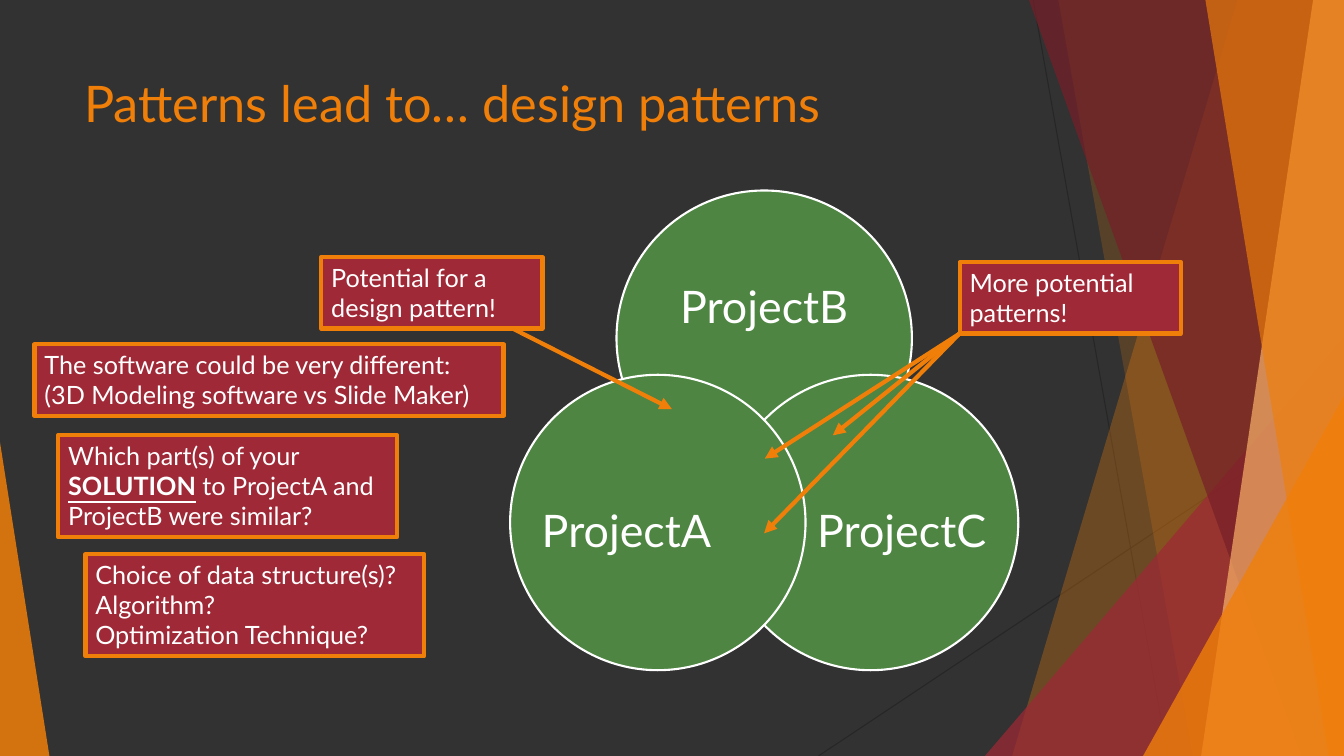
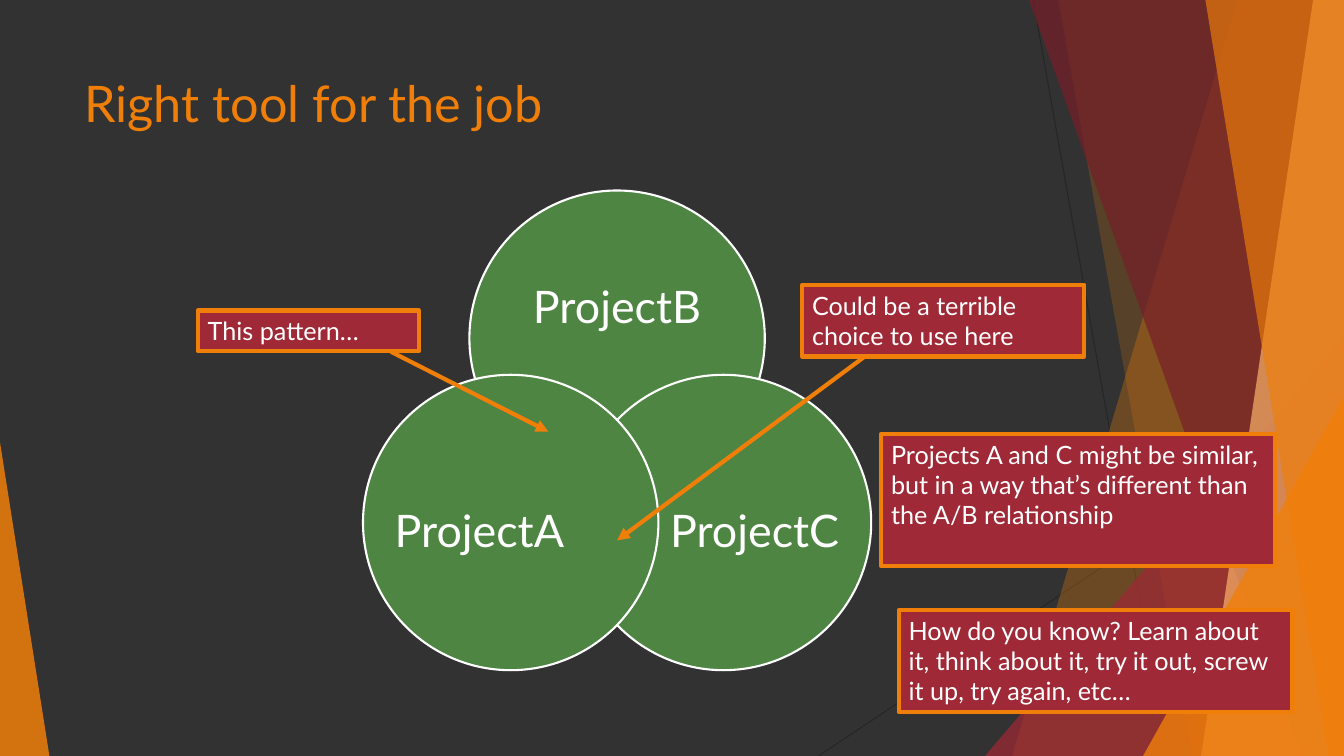
import math

from lxml import etree
from pptx import Presentation
from pptx.dml.color import RGBColor
from pptx.enum.shapes import MSO_CONNECTOR, MSO_SHAPE
from pptx.enum.text import MSO_ANCHOR, PP_ALIGN
from pptx.oxml.ns import qn
from pptx.util import Pt

STRAIGHT = MSO_CONNECTOR.STRAIGHT
RECTANGLE, OVAL, TRIANGLE = MSO_SHAPE.RECTANGLE, MSO_SHAPE.OVAL, MSO_SHAPE.ISOSCELES_TRIANGLE
TOP, MIDDLE = MSO_ANCHOR.TOP, MSO_ANCHOR.MIDDLE
LEFT, CENTER = PP_ALIGN.LEFT, PP_ALIGN.CENTER

WIDTH, HEIGHT = 960, 540
FONT = "Lato"
COLORS = {
    "ground": "323232", "hairline": "262626", "orange": "F07F09", "peach": "F9B268",
    "red": "9F2936", "wine": "771F28", "green": "4E8542", "white": "FFFFFF",
}

# Back to front. Bands: colour, opacity, top x, bottom x; they reach the right edge.
# Triangles: colour, opacity, box, apex position; told apart by the box.
FACETS = [
    ("orange", 30, 884, 723),
    ("orange", 20, 756, 852),
    ("red", 72, (703.5, 240, 256.5, 300), 1),
    ("wine", 70, 735, 929.5),
    ("peach", 70, 938, 858),
    ("orange", 65, 861, 949),
    ("orange", 80, (816.5, 283, 143.5, 257), 1),
    ("orange", 85, (0, 316, 35.3, 224), 0),
]
HAIRLINES = [((738, 0), (834, HEIGHT)), ((WIDTH, 290), (584.6, HEIGHT))]

TITLE_BOX = (53.3, 48.2, 676.8, 63.4)
VENN_TOP, DIAMETER, SPREAD = 136.1, 211, 152


def color(name):
    """Return the palette colour of that name."""
    return RGBColor.from_string(COLORS[name])


def points(values):
    """Convert numbers of points to lengths."""
    return [Pt(value) for value in values]


def paint(shape, fill, opacity=100, line=None, weight=0):
    """Give a shape its fill and outline, without a shadow."""
    shape.shadow.inherit = False
    shape.fill.solid()
    shape.fill.fore_color.rgb = color(fill)
    if opacity < 100:
        tint = shape.fill._xPr.find(qn("a:solidFill"))[0]
        etree.SubElement(tint, qn("a:alpha"), val=str(opacity * 1000))
    if line:
        shape.line.color.rgb = color(line)
        shape.line.width = Pt(weight)
    else:
        shape.line.fill.background()


def style_text(shape, size, ink, align=LEFT, anchor=TOP):
    """Format all the text of a shape alike."""
    shape.text_frame.vertical_anchor = anchor
    for para in shape.text_frame.paragraphs:
        para.alignment = align
        para.font.size = Pt(size)
        for span in para.runs:
            span.font.name = FONT
            span.font.size = Pt(size)
            span.font.color.rgb = color(ink)


def add_line(page, start, end, ink, weight, arrow=False):
    """Draw a straight line, with an arrowhead at its end if wanted."""
    line = page.shapes.add_connector(STRAIGHT, *points(start + end))
    line.line.color.rgb = color(ink)
    line.line.width = Pt(weight)
    properties = line._element.spPr
    if arrow:
        etree.SubElement(properties.find(qn("a:ln")), qn("a:tailEnd"), type="triangle")
    etree.SubElement(properties, qn("a:effectLst"))


def add_facets(page):
    """Draw the hairlines and translucent facets at the slide edges."""
    for start, end in HAIRLINES:
        add_line(page, start, end, "hairline", 0.75)
    for fill, opacity, place, finish in FACETS:
        if isinstance(place, tuple):
            facet = page.shapes.add_shape(TRIANGLE, *points(place))
            facet.adjustments[0] = finish
        else:
            builder = page.shapes.build_freeform(Pt(place), 0)
            corners = [(WIDTH, 0), (WIDTH, HEIGHT), (finish, HEIGHT)]
            builder.add_line_segments([points(corner) for corner in corners])
            facet = builder.convert_to_shape()
        paint(facet, fill, opacity)


def add_title(page, text):
    """Write the slide title."""
    box = page.shapes.add_textbox(*points(TITLE_BOX))
    box.text_frame.word_wrap = True
    box.text_frame.text = text
    style_text(box, 36, "orange")


def add_venn(page, left, top):
    """Draw three overlapping circles on the corners of an equilateral triangle."""
    drop = SPREAD * math.sin(math.pi / 3)
    # Name, offset of the circle, shift of its label away from the centre.
    circles = [
        ("ProjectB", SPREAD / 2, 0, 0, -21.2),
        ("ProjectC", SPREAD, drop, 22.3, 7.2),
        ("ProjectA", 0, drop, -22.3, 7.2),
    ]
    for name, across, down, shift_x, shift_y in circles:
        circle = page.shapes.add_shape(
            OVAL, *points((left + across, top + down, DIAMETER, DIAMETER)))
        paint(circle, "green", line="white", weight=1.5)
        frame = circle.text_frame
        frame.word_wrap = False
        frame.margin_left, frame.margin_right = points((max(2 * shift_x, 0), max(-2 * shift_x, 0)))
        frame.margin_top, frame.margin_bottom = points((max(2 * shift_y, 0), max(-2 * shift_y, 0)))
        frame.text = name
        frame.paragraphs[0].line_spacing = 0.9
        style_text(circle, 32, "white", CENTER, MIDDLE)


def add_callout(page, box, text, stress=""):
    """Draw a red note; the stressed word is bold and underlined."""
    note = page.shapes.add_shape(RECTANGLE, *points(box))
    paint(note, "red", line="orange", weight=3)
    frame = note.text_frame
    frame.word_wrap = True
    if stress:
        para = frame.paragraphs[0]
        for piece in text.partition(stress):
            span = para.add_run()
            span.text = piece
            span.font.bold = span.font.underline = piece == stress
    else:
        frame.text = text
    style_text(note, 18, "white")


def add_pattern_slide(deck, title, venn_left, callouts, arrows):
    """Build a slide with a Venn diagram, notes and arrows."""
    page = deck.slides.add_slide(deck.slide_layouts[6])
    add_facets(page)
    add_title(page, title)
    add_venn(page, venn_left, VENN_TOP)
    for callout in callouts:
        add_callout(page, *callout)
    for start, end in arrows:
        add_line(page, start, end, "orange", 3, arrow=True)


def main():
    """Build and save the deck."""
    deck = Presentation()
    deck.slide_width, deck.slide_height = Pt(WIDTH), Pt(HEIGHT)
    ground = deck.slide_master.background.fill
    ground.solid()
    ground.fore_color.rgb = color("ground")

    corner = (685.2, 238.5)
    add_pattern_slide(
        deck, "Patterns lead to… design patterns", 364.4,
        [
            ((229.5, 183.7, 158, 51), "Potential for a design pattern!"),
            ((41.6, 310.8, 242, 73),
             "Which part(s) of your SOLUTION to ProjectA and ProjectB were similar?", "SOLUTION"),
            ((24.7, 246, 335, 51),
             "The software could be very different:\v(3D Modeling software vs Slide Maker)"),
            ((61, 395.8, 242, 73),
             "Choice of data structure(s)? Algorithm?\nOptimization Technique?"),
            ((685.5, 187.3, 158, 51), "More potential patterns!"),
        ],
        [
            ((367.2, 235.2), (480, 292.3)),
            (corner, (594.9, 311)),
            (corner, (545.8, 381)),
            (corner, (546.3, 327.6)),
        ])
    add_pattern_slide(
        deck, "Right tool for the job", 259.3,
        [
            ((141.3, 221.8, 158, 29), "This pattern…"),
            ((573, 203.6, 201.6, 51), "Could be a terrible choice to use here"),
            ((629.4, 310, 281.3, 94.4),
             "Projects A and C might be similar, but in a way that’s different than "
             "the A/B relationship"),
            ((642, 435.7, 281.3, 73),
             "How do you know? Learn about it, think about it, try it out, screw it up, "
             "try again, etc…"),
        ],
        [
            ((279.2, 251.2), (391.7, 308.3)),
            ((617.9, 254.5), (440.8, 386)),
        ])
    deck.save("out.pptx")


main()
